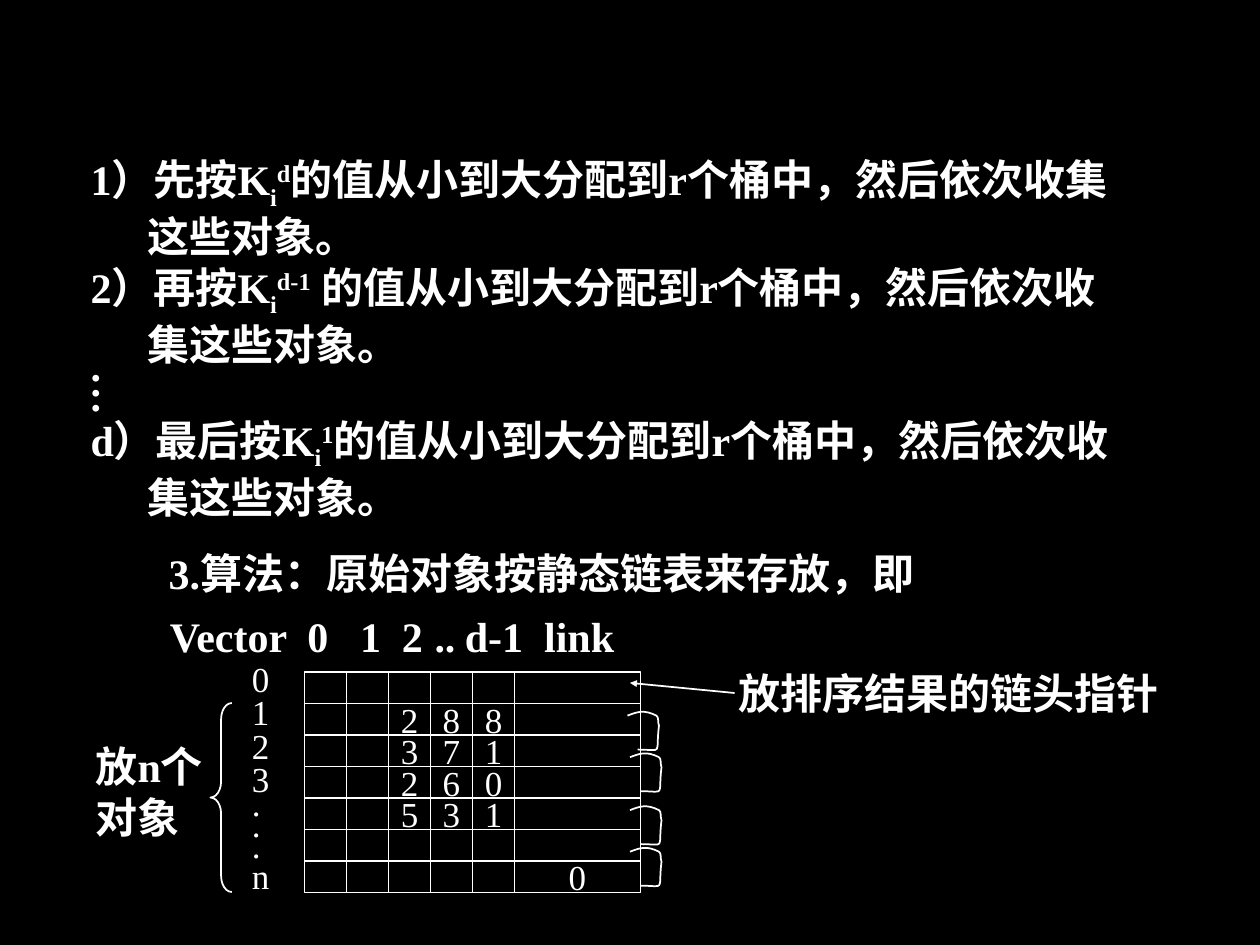
from lxml.etree import SubElement
from pptx import Presentation
from pptx.dml.color import RGBColor
from pptx.enum.shapes import MSO_CONNECTOR, MSO_SHAPE
from pptx.enum.text import MSO_ANCHOR, MSO_AUTO_SIZE, PP_ALIGN
from pptx.oxml.ns import qn
from pptx.util import Inches, Pt

FONT = "Times New Roman"
INK, PAPER = "FFFFFF", "000000"
SUB, SUP = -25000, 30000

STEPS = [
    ([("1）先按K", 0), ("i", SUB), ("d", SUP), ("的值从小到大分配到r个桶中，然后依次收集", 0)], 0, 1),
    ([("这些对象。", 0)], 0.45, 1),
    ([("2）再按K", 0), ("i", SUB), ("d-1", SUP), (" 的值从小到大分配到r个桶中，然后依次收", 0)], 0, 1),
    ([("集这些对象。", 0)], 0.45, 1),
    *[([(".", 0)], 0, 0.3)] * 3,
    ([("d）最后按K", 0), ("i", SUB), ("1", SUP), ("的值从小到大分配到r个桶中，然后依次收", 0)], 0, 1),
    ([("集这些对象。", 0)], 0.45, 1),
]
HEADING = "3.算法：原始对象按静态链表来存放，即"
HEADER = "Vector\t0\t1\t2\t..\td-1\tlink"
HEADER_TABS = [1.09, 1.51, 1.84, 2.1, 2.34, 2.97]
INDEXES = [("0", 0.8), ("1", 0.8), ("2", 0.8), ("3", 0.8),
           (".", 0.5), (".", 0.5), (".", 0.5), ("n", 0.8)]
ROWS = [
    ["", "", "", "", "", ""],
    ["", "", "2", "8", "8", ""],
    ["", "", "3", "7", "1", ""],
    ["", "", "2", "6", "0", ""],
    ["", "", "5", "3", "1", ""],
    ["", "", "", "", "", ""],
    ["", "", "", "", "", "0"],
]
GRID_LEFT, GRID_TOP, ROW_HEIGHT = 29 / 12, 16 / 3, 0.25
COLUMN_WIDTHS = [1 / 3] * 5 + [1]
LINK_ORIGINS = [(4.98, 5.68), (5, 6.01), (5, 6.43), (5, 6.76)]
LINK_CONTROLS = [
    (0.08, -0.03), (0.13, -0.05), (0.23, 0),
    (0.25, 0.01), (0.24, 0.06), (0.25, 0.08),
    (0.22, 0.32), (0.29, 0.27), (0.08, 0.27),
]


def color(value):
    return RGBColor.from_string(value)


def style_runs(paragraph, size, bold):
    for run in paragraph.runs:
        run.font.name = FONT
        run.font.size = Pt(size)
        run.font.bold = bold
        run.font.color.rgb = color(INK)


def outline(shape):
    shape.shadow.inherit = False
    shape.fill.background()
    shape.line.color.rgb = color(INK)
    shape.line.width = Pt(1)


def add_text(slide, box, paragraphs, size=24, bold=True, tabs=()):
    text_box = slide.shapes.add_textbox(*map(Inches, box))
    frame = text_box.text_frame
    frame.word_wrap = False
    frame.auto_size = MSO_AUTO_SIZE.SHAPE_TO_FIT_TEXT
    for number, (runs, indent, spacing) in enumerate(paragraphs):
        paragraph = frame.paragraphs[0] if number == 0 else frame.add_paragraph()
        if spacing != 1:
            paragraph.line_spacing = spacing
        properties = paragraph._p.get_or_add_pPr()
        if indent:
            properties.set("marL", str(Inches(indent)))
            properties.set("indent", "0")
        if tabs:
            tab_list = SubElement(properties, qn("a:tabLst"))
            for position in tabs:
                SubElement(tab_list, qn("a:tab"), pos=str(Inches(position)), algn="l")
        for text, baseline in runs:
            run = paragraph.add_run()
            run.text = text
            if baseline:
                run._r.get_or_add_rPr().set("baseline", str(baseline))
        style_runs(paragraph, size, bold)


def plain(*lines):
    return [([(line, 0)], 0, 1) for line in lines]


def add_grid(slide):
    for row, values in enumerate(ROWS):
        for column, value in enumerate(values):
            left = GRID_LEFT + sum(COLUMN_WIDTHS[:column])
            top = GRID_TOP + row * ROW_HEIGHT
            box = (left, top, COLUMN_WIDTHS[column], ROW_HEIGHT)
            cell = slide.shapes.add_shape(MSO_SHAPE.RECTANGLE, *map(Inches, box))
            outline(cell)
            if value:
                frame = cell.text_frame
                frame.text = value
                frame.word_wrap = False
                frame.vertical_anchor = MSO_ANCHOR.MIDDLE
                frame.paragraphs[0].alignment = PP_ALIGN.CENTER
                style_runs(frame.paragraphs[0], 20, False)


def add_link(slide, origin):
    controls = [(Inches(origin[0] + x), Inches(origin[1] + y)) for x, y in LINK_CONTROLS]
    builder = slide.shapes.build_freeform(*map(Inches, origin))
    builder.add_line_segments(controls, close=False)
    link = builder.convert_to_shape()
    outline(link)
    segments = list(link._element.iter(qn("a:lnTo")))
    outline_path = segments[0].getparent()
    for start in range(0, len(segments), 3):
        curve = SubElement(outline_path, qn("a:cubicBezTo"))
        for segment in segments[start:start + 3]:
            curve.append(segment[0])
            outline_path.remove(segment)


def add_pointer(slide):
    ends = map(Inches, (5.83, 5.5, 5, 5.42))
    pointer = slide.shapes.add_connector(MSO_CONNECTOR.STRAIGHT, *ends)
    pointer.line.color.rgb = color(INK)
    pointer.line.width = Pt(1)
    SubElement(pointer.line._get_or_add_ln(), qn("a:tailEnd"), type="triangle", w="sm", len="sm")
    SubElement(pointer._element.spPr, qn("a:effectLst"))


def main():
    presentation = Presentation()
    presentation.slide_width, presentation.slide_height = Inches(10), Inches(7.5)
    slide = presentation.slides.add_slide(presentation.slide_layouts[6])
    slide.background.fill.solid()
    slide.background.fill.fore_color.rgb = color(PAPER)

    add_text(slide, (0.62, 1.17, 8.72, 3.43), STEPS)
    add_text(slide, (1.24, 4.3, 6.24, 0.5), plain(HEADING))
    add_text(slide, (1.25, 4.8, 3.85, 0.5), plain(HEADER), tabs=HEADER_TABS)
    add_grid(slide)
    index_lines = [([(text, 0)], 0, spacing) for text, spacing in INDEXES]
    add_text(slide, (1.9, 5.23, 0.34, 1.94), index_lines, size=20, bold=False)
    for origin in LINK_ORIGINS:
        add_link(slide, origin)
    add_text(slide, (5.76, 5.25, 3.53, 0.5), plain("放排序结果的链头指针"))
    add_pointer(slide)
    brace = slide.shapes.add_shape(MSO_SHAPE.LEFT_BRACE, *map(Inches, (1.67, 5.58, 0.17, 1.5)))
    brace.adjustments[0] = 0.75
    outline(brace)
    add_text(slide, (0.66, 5.83, 1.21, 0.9), plain("放n个", "对象"))
    presentation.save("out.pptx")


if __name__ == "__main__":
    main()
